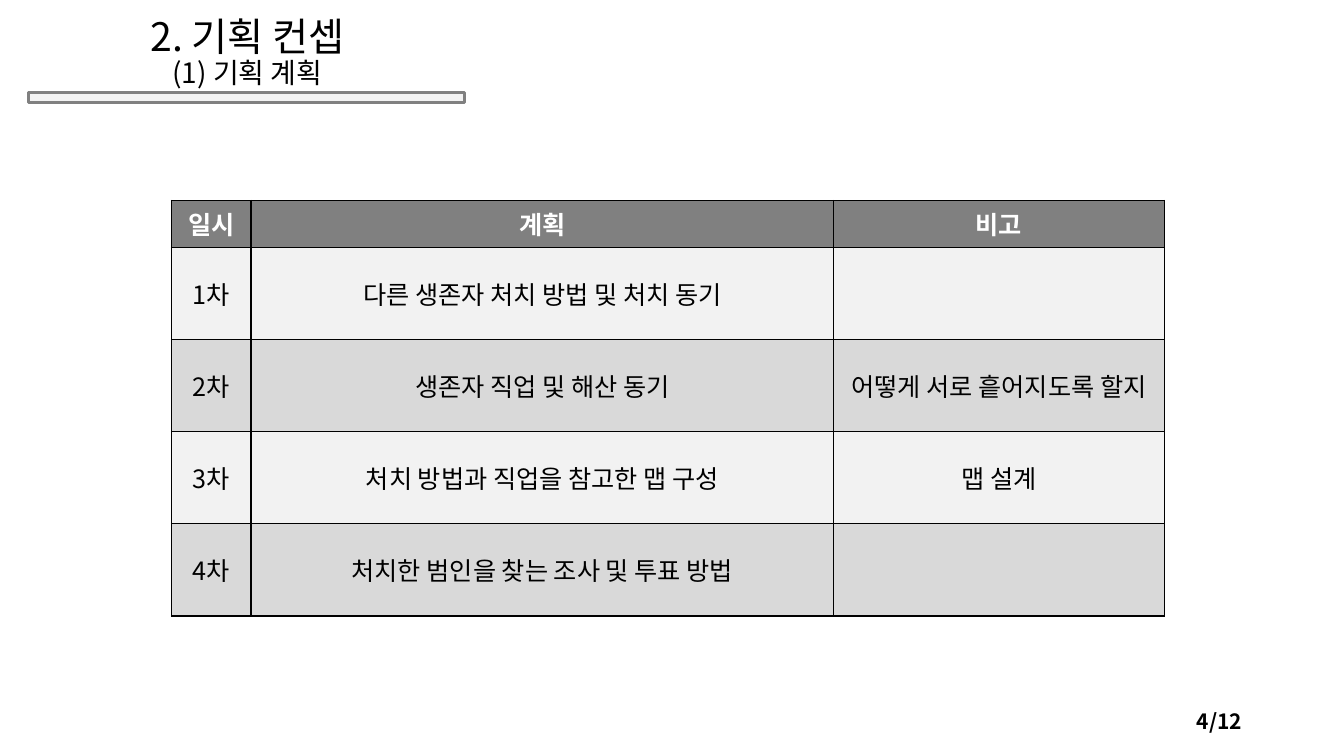
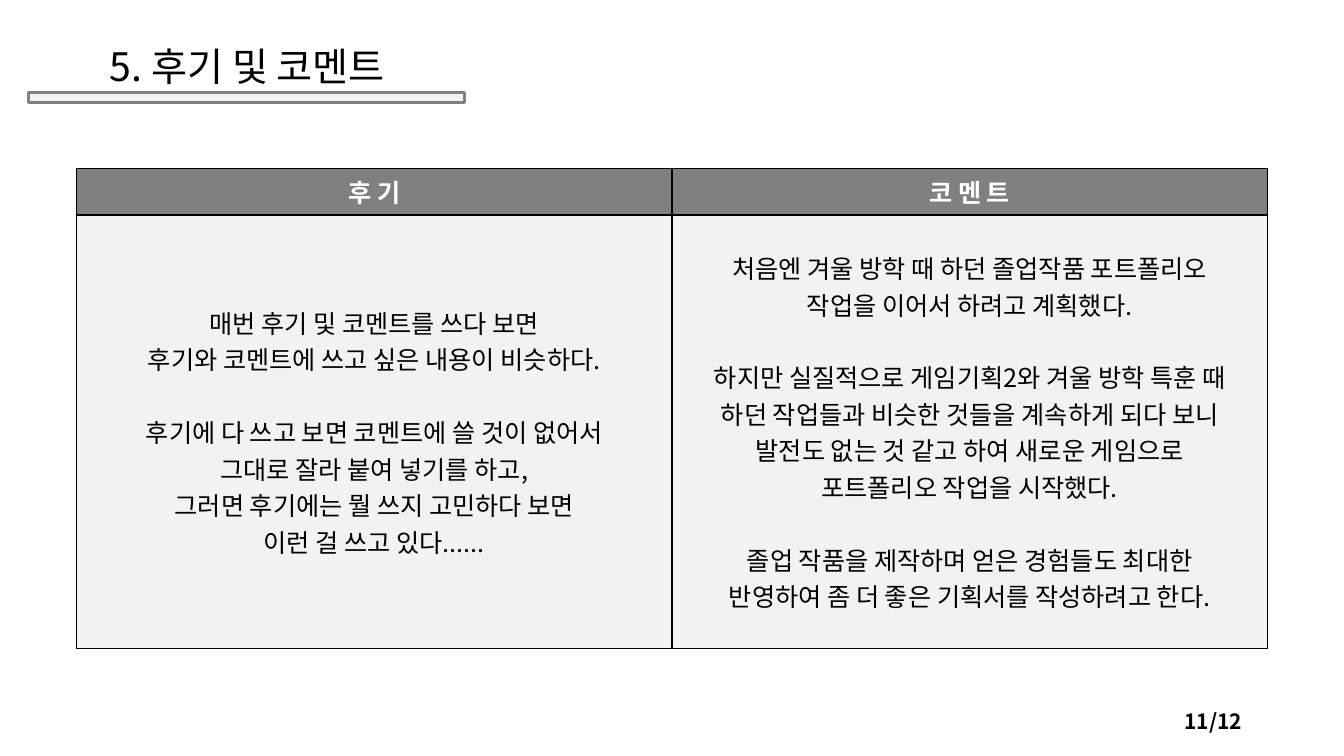
from dataclasses import dataclass
from typing import Any

import pptx
import pptx.dml.color
import pptx.enum.shapes
import pptx.enum.text
import pptx.oxml
import pptx.oxml.ns
import pptx.util

Align = pptx.enum.text.PP_ALIGN
Anchor = pptx.enum.text.MSO_ANCHOR
Color = pptx.dml.color.RGBColor
Points = pptx.util.Pt

SLIDE_WIDTH = pptx.util.Inches(13.333)
SLIDE_HEIGHT = pptx.util.Inches(7.5)
GRID = 100  # columns across and rows down the slide
PAGE_COUNT = 12


@dataclass(frozen=True)
class Theme:
    font: str = "Noto Sans CJK KR"
    ink: str = "000000"
    paper: str = "FFFFFF"
    accent: str = "808080"
    bands: tuple[str, ...] = ("F2F2F2", "D9D9D9")
    title_size: float = 28
    subtitle_size: float = 20
    table_size: float = 18
    number_size: float = 15
    stanza_gap: float = 26
    bar_line: float = 2.25
    border: float = 1


THEME = Theme()


@dataclass(frozen=True)
class Area:
    """A rectangle in grid columns and rows."""
    left: float
    top: float
    width: float
    height: float

    def lengths(self) -> tuple[int, int, int, int]:
        return across(self.left), down(self.top), across(self.width), down(self.height)


@dataclass(frozen=True)
class Grid:
    """A table; a blank line inside a cell's text starts a new stanza."""
    left: float
    top: float
    columns: tuple[float, ...]
    body_row: float
    cells: tuple[tuple[str, ...], ...]
    header_row: float = 6.1


@dataclass(frozen=True)
class Page:
    number: int
    title: str
    grid: Grid
    subtitle: str = ""


BAR = Area(2.1, 12.27, 32.5, 1.33)
TITLE = Area(2.85, 3.87, 31.13, 8.67)
NUMBER = Area(70.65, 92.67, 22.5, 5.33)

REVIEW = """매번 후기 및 코멘트를 쓰다 보면
후기와 코멘트에 쓰고 싶은 내용이 비슷하다.

후기에 다 쓰고 보면 코멘트에 쓸 것이 없어서
그대로 잘라 붙여 넣기를 하고,
그러면 후기에는 뭘 쓰지 고민하다 보면
이런 걸 쓰고 있다......"""

COMMENT = """처음엔 겨울 방학 때 하던 졸업작품 포트폴리오
작업을 이어서 하려고 계획했다.

하지만 실질적으로 게임기획2와 겨울 방학 특훈 때
하던 작업들과 비슷한 것들을 계속하게 되다 보니
발전도 없는 것 같고 하여 새로운 게임으로
포트폴리오 작업을 시작했다.

졸업 작품을 제작하며 얻은 경험들도 최대한
반영하여 좀 더 좋은 기획서를 작성하려고 한다."""

PAGES = (
    Page(4, "2. 기획 컨셉", subtitle="(1) 기획 계획", grid=Grid(
        12.75, 26.53, (5.93, 43.35, 24.6), 12.2, (
            ("일시", "계획", "비고"),
            ("1차", "다른 생존자 처치 방법 및 처치 동기", ""),
            ("2차", "생존자 직업 및 해산 동기", "어떻게 서로 흩어지도록 할지"),
            ("3차", "처치 방법과 직업을 참고한 맵 구성", "맵 설계"),
            ("4차", "처치한 범인을 찾는 조사 및 투표 방법", ""),
        ))),
    Page(11, "5. 후기 및 코멘트", grid=Grid(
        5.7, 22.27, (44.3, 44.3), 57.33, (
            ("후 기", "코 멘 트"),
            (REVIEW, COMMENT),
        ))),
)


def across(columns: float) -> int:
    return round(SLIDE_WIDTH * columns / GRID)


def down(rows: float) -> int:
    return round(SLIDE_HEIGHT * rows / GRID)


def apply(target: Any, values: dict[str, Any]) -> None:
    for name, value in values.items():
        setattr(target, name, value)


def paint(fill: Any, color: str) -> None:
    fill.solid()
    fill.fore_color.rgb = Color.from_string(color)


def add_span(para: Any, text: str, size: float, color: str = THEME.ink,
             bold: bool = False) -> None:
    span = para.add_run()
    span.text = text
    apply(span.font, {"name": THEME.font, "size": Points(size), "bold": bold})
    span.font.color.rgb = Color.from_string(color)
    east_asian = pptx.oxml.parse_xml(
        f'<a:ea {pptx.oxml.ns.nsdecls("a")} typeface="{THEME.font}"/>')
    span.font._element.append(east_asian)


def add_box(slide: Any, area: Area, anchor: Any, para_format: dict[str, Any]) -> Any:
    """Add a wrapping text box and return its first paragraph."""
    frame = slide.shapes.add_textbox(*area.lengths()).text_frame
    apply(frame, {"word_wrap": True, "vertical_anchor": anchor,
                  "auto_size": pptx.enum.text.MSO_AUTO_SIZE.NONE})
    para = frame.paragraphs[0]
    apply(para, para_format)
    return para


def add_bar(slide: Any) -> None:
    bar = slide.shapes.add_shape(
        pptx.enum.shapes.MSO_SHAPE.RECTANGLE, *BAR.lengths())
    bar.shadow.inherit = False
    paint(bar.fill, THEME.bands[0])
    paint(bar.line.fill, THEME.accent)
    bar.line.width = Points(THEME.bar_line)


def add_title(slide: Any, page: Page) -> None:
    para = add_box(slide, TITLE, Anchor.BOTTOM,
                   {"alignment": Align.CENTER, "line_spacing": 0.9})
    add_span(para, page.title, THEME.title_size)
    if page.subtitle:
        para.add_line_break()
        add_span(para, page.subtitle, THEME.subtitle_size)


def add_number(slide: Any, number: int) -> None:
    para = add_box(slide, NUMBER, Anchor.MIDDLE, {"alignment": Align.RIGHT})
    add_span(para, f"{number}/{PAGE_COUNT}", THEME.number_size, bold=True)


def add_borders(cell: Any) -> None:
    properties = cell._tc.get_or_add_tcPr()
    for side in "LRTB":
        properties.append(pptx.oxml.parse_xml(
            f'<a:ln{side} {pptx.oxml.ns.nsdecls("a")} w="{Points(THEME.border)}">'
            f'<a:solidFill><a:srgbClr val="{THEME.ink}"/></a:solidFill></a:ln{side}>'))


def write_cell(cell: Any, text: str, color: str, bold: bool) -> None:
    frame = cell.text_frame
    for stanza_index, stanza in enumerate(text.split("\n\n")):
        for line_index, line in enumerate(stanza.splitlines()):
            first = stanza_index == line_index == 0
            para = frame.paragraphs[0] if first else frame.add_paragraph()
            para.alignment = Align.CENTER
            if stanza_index and not line_index:
                para.space_before = Points(THEME.stanza_gap)
            add_span(para, line, THEME.table_size, color, bold)


def add_grid(slide: Any, grid: Grid) -> None:
    heights = [grid.header_row] + [grid.body_row] * (len(grid.cells) - 1)
    area = Area(grid.left, grid.top, sum(grid.columns), sum(heights))
    table = slide.shapes.add_table(
        len(heights), len(grid.columns), *area.lengths()).table
    table.horz_banding = False
    for column, width in zip(table.columns, grid.columns):
        column.width = across(width)
    for index, (row, height, texts) in enumerate(zip(table.rows, heights, grid.cells)):
        row.height = down(height)
        header = index == 0
        fill = THEME.accent if header else THEME.bands[(index - 1) % len(THEME.bands)]
        color = THEME.paper if header else THEME.ink
        for cell, text in zip(row.cells, texts):
            add_borders(cell)
            paint(cell.fill, fill)
            cell.vertical_anchor = Anchor.MIDDLE
            write_cell(cell, text, color, header)


def main() -> None:
    deck = pptx.Presentation()
    apply(deck, {"slide_width": SLIDE_WIDTH, "slide_height": SLIDE_HEIGHT})
    for page in PAGES:
        slide = deck.slides.add_slide(deck.slide_layouts[6])
        paint(slide.background.fill, THEME.paper)
        add_bar(slide)
        add_title(slide, page)
        add_number(slide, page.number)
        add_grid(slide, page.grid)
    deck.save("out.pptx")


if __name__ == "__main__":
    main()
